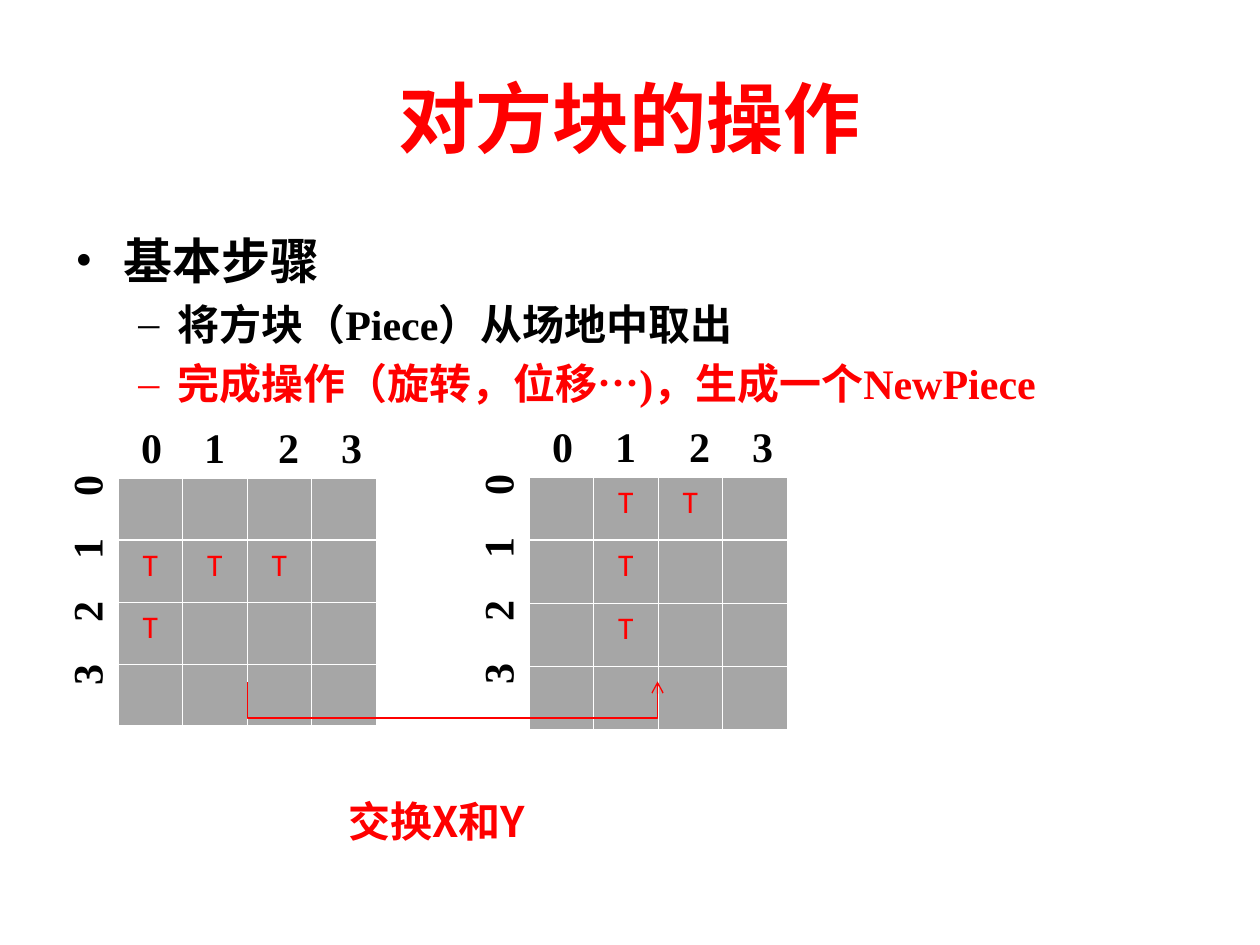
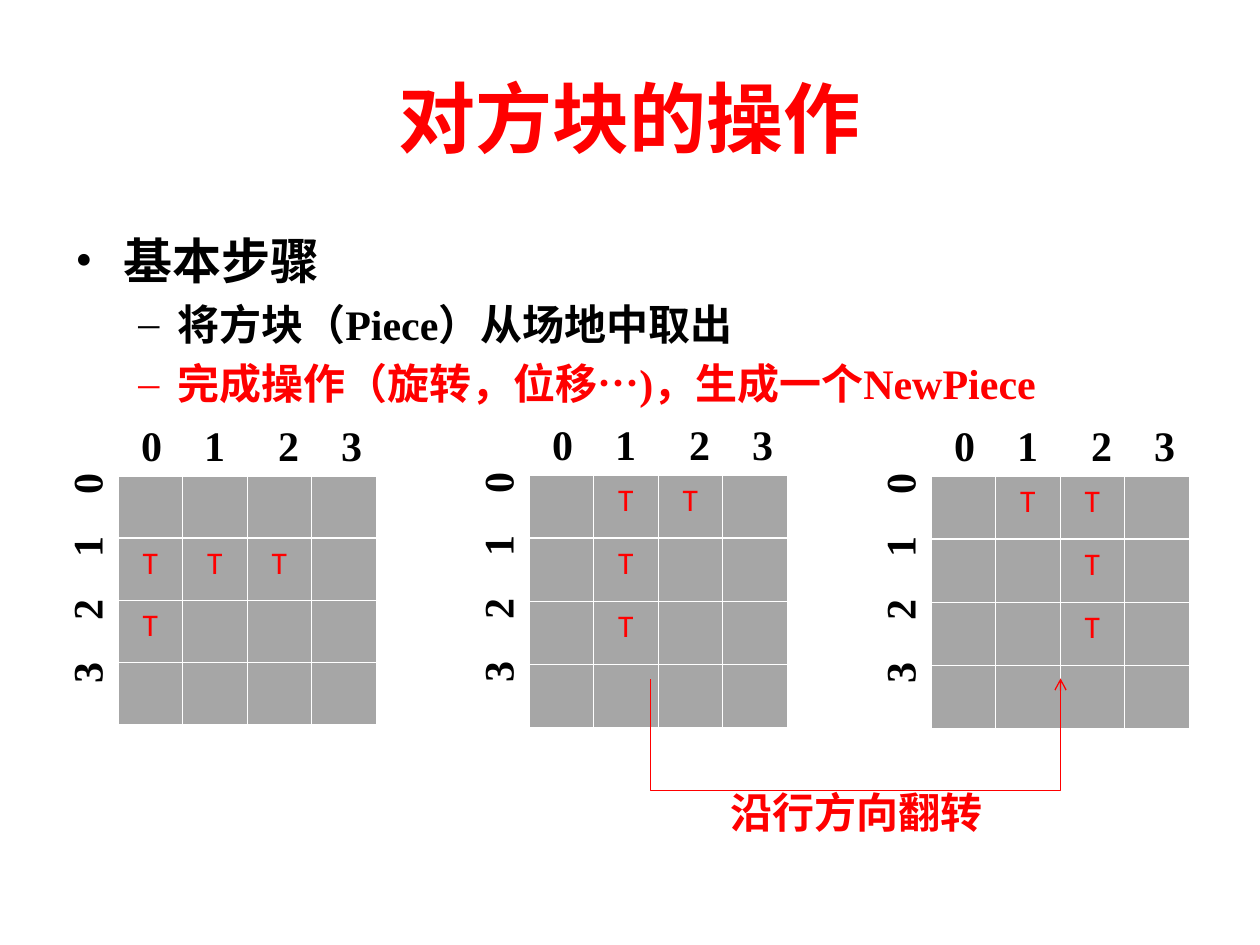
from lxml.etree import SubElement
from pptx import Presentation
from pptx.dml.color import RGBColor
from pptx.enum.shapes import MSO_CONNECTOR
from pptx.enum.text import MSO_ANCHOR, PP_ALIGN
from pptx.oxml.ns import qn
from pptx.util import Pt

COLORS = {"accent": "FF0000", "text": "000000", "cell": "A6A6A6", "rule": "FFFFFF"}
CJK, SERIF, SANS = "Noto Sans CJK SC", "Times New Roman", "Calibri"
TITLE = "对方块的操作"
STEPS = [
    ("基本步骤", 0, 28, 36, CJK, "text", "•", 48, 48),
    ("将方块（Piece）从场地中取出", 1, 24, 28, SERIF, "text", "–", 102, 39),
    ("完成操作（旋转，位移…)，生成一个NewPiece", 1, 24, 28, SERIF, "accent", "–", 102, 39),
]
START = ["....", "TTT.", "T...", "...."]
SWAPPED = [".TT.", ".T..", ".T..", "...."]
FLIPPED = [".TT.", "..T.", "..T.", "...."]
STAGES = [
    {
        "grids": [(START, 118, 478, 62), (SWAPPED, 529, 477, 63)],
        "arrow": (247, 682, 36),
        "operation": ("交换X和Y", 336, 785, 232),
    },
    {
        "grids": [(START, 118, 476, 62), (SWAPPED, 529, 475, 63), (FLIPPED, 931, 476, 63)],
        "arrow": (650, 679, 112),
        "operation": ("沿行方向翻转", 718, 776, 277),
    },
]
GRID_WIDTH = 258
ARROW_SPAN = 410


def px(n):
    return round(n * 914400 / 126)


def style(paragraph, size, typeface, color, bold=True):
    font = paragraph.font
    font.size, font.bold, font.name = Pt(size), bold, typeface
    font.color.rgb = RGBColor.from_string(COLORS[color])
    SubElement(font._element.find(qn("a:latin")).getparent() if hasattr(font, "_element")
               else paragraph._p.pPr.find(qn("a:defRPr")), qn("a:ea"), typeface=CJK)


prs = Presentation()
prs.slide_width, prs.slide_height = px(1260), px(945)

for stage in STAGES:
    slide = prs.slides.add_slide(prs.slide_layouts[6])

    heading = slide.shapes.add_textbox(px(63), px(38), px(1134), px(157)).text_frame
    heading.word_wrap = True
    heading.vertical_anchor = MSO_ANCHOR.MIDDLE
    heading.text = TITLE
    heading.paragraphs[0].alignment = PP_ALIGN.CENTER
    style(heading.paragraphs[0], 44, CJK, "accent")

    for pattern, left, top, row_height in stage["grids"]:
        grid = slide.shapes.add_table(
            4, 4, px(left), px(top), px(GRID_WIDTH), px(4 * row_height)
        ).table
        grid.first_row = grid.horz_banding = False
        for column in grid.columns:
            column.width = px(GRID_WIDTH) // 4
        for r, marks in enumerate(pattern):
            grid.rows[r].height = px(row_height)
            for c, mark in enumerate(marks):
                cell = grid.cell(r, c)
                borders = cell._tc.get_or_add_tcPr()
                for side in ("L", "R", "T", "B"):
                    thick = (r, side) in ((0, "B"), (1, "T"))
                    width = Pt(1.47 if thick else 0.45)
                    rule = SubElement(borders, qn(f"a:ln{side}"), w=str(width))
                    paint = SubElement(rule, qn("a:solidFill"))
                    SubElement(paint, qn("a:srgbClr"), val=COLORS["rule"])
                cell.fill.solid()
                cell.fill.fore_color.rgb = RGBColor.from_string(COLORS["cell"])
                if mark == "T":
                    cell.text = mark
                    cell.text_frame.paragraphs[0].alignment = PP_ALIGN.CENTER
                    style(cell.text_frame.paragraphs[0], 18, SANS, "accent", False)

        for digits, dx, dy, angle, stops in (
            ("0123", 0, -63, 0, (63, 137, 200)),
            ("3210", -136, 45, 270, (63, 126, 189)),
        ):
            axis = slide.shapes.add_textbox(
                px(left + dx), px(top + dy), px(GRID_WIDTH), px(113)
            )
            axis.rotation = angle
            axis.text_frame.word_wrap = True
            axis.text_frame.margin_left = px(23)
            axis.text_frame.margin_right = 0
            axis.text_frame.text = "\t".join(digits)
            indices = axis.text_frame.paragraphs[0]
            tabs = SubElement(indices._p.get_or_add_pPr(), qn("a:tabLst"))
            for stop in stops:
                SubElement(tabs, qn("a:tab"), pos=str(px(stop)), algn="l")
            style(indices, 24, SERIF, "text")

    start_x, start_y, drop = stage["arrow"]
    middle, half = start_x + ARROW_SPAN // 2, ARROW_SPAN // 2
    arrow = slide.shapes.add_connector(
        MSO_CONNECTOR.ELBOW,
        px(middle + 1), px(start_y + half), px(middle), px(start_y - half),
    )
    arrow.line.color.rgb = RGBColor.from_string(COLORS["accent"])
    arrow.line.width = Pt(0.75)
    SubElement(arrow.line._get_or_add_ln(), qn("a:tailEnd"), type="arrow")
    arrow_properties = arrow._element.spPr
    arrow_properties.find(qn("a:xfrm")).set("rot", "5400000")
    bends = arrow_properties.find(qn("a:prstGeom")).find(qn("a:avLst"))
    SubElement(bends, qn("a:gd"), name="adj1", fmla=f"val {-drop * 100000}")
    SubElement(arrow_properties, qn("a:effectLst"))

    label, left, top, width = stage["operation"]
    operation = slide.shapes.add_textbox(px(left), px(top), px(width), px(63)).text_frame
    operation.word_wrap = False
    operation.text = label
    operation.paragraphs[0].line_spacing = Pt(31)
    style(operation.paragraphs[0], 24, CJK, "accent")

    steps = slide.shapes.add_textbox(px(63), px(220), px(1134), px(624)).text_frame
    steps.word_wrap = True
    for i, (text, level, size, spacing, typeface, color, bullet, margin, hang) in enumerate(STEPS):
        step = steps.add_paragraph() if i else steps.paragraphs[0]
        step.text = text
        step.level = level
        step.line_spacing = Pt(spacing)
        step.space_after = Pt(6)
        layout = step._p.get_or_add_pPr()
        layout.set("marL", str(px(margin)))
        layout.set("indent", str(-px(hang)))
        bullet_color = SubElement(layout, qn("a:buClr"))
        SubElement(bullet_color, qn("a:srgbClr"), val=COLORS[color])
        SubElement(layout, qn("a:buFont"), typeface=SERIF)
        SubElement(layout, qn("a:buChar"), char=bullet)
        style(step, size, typeface, color)

prs.save("out.pptx")
